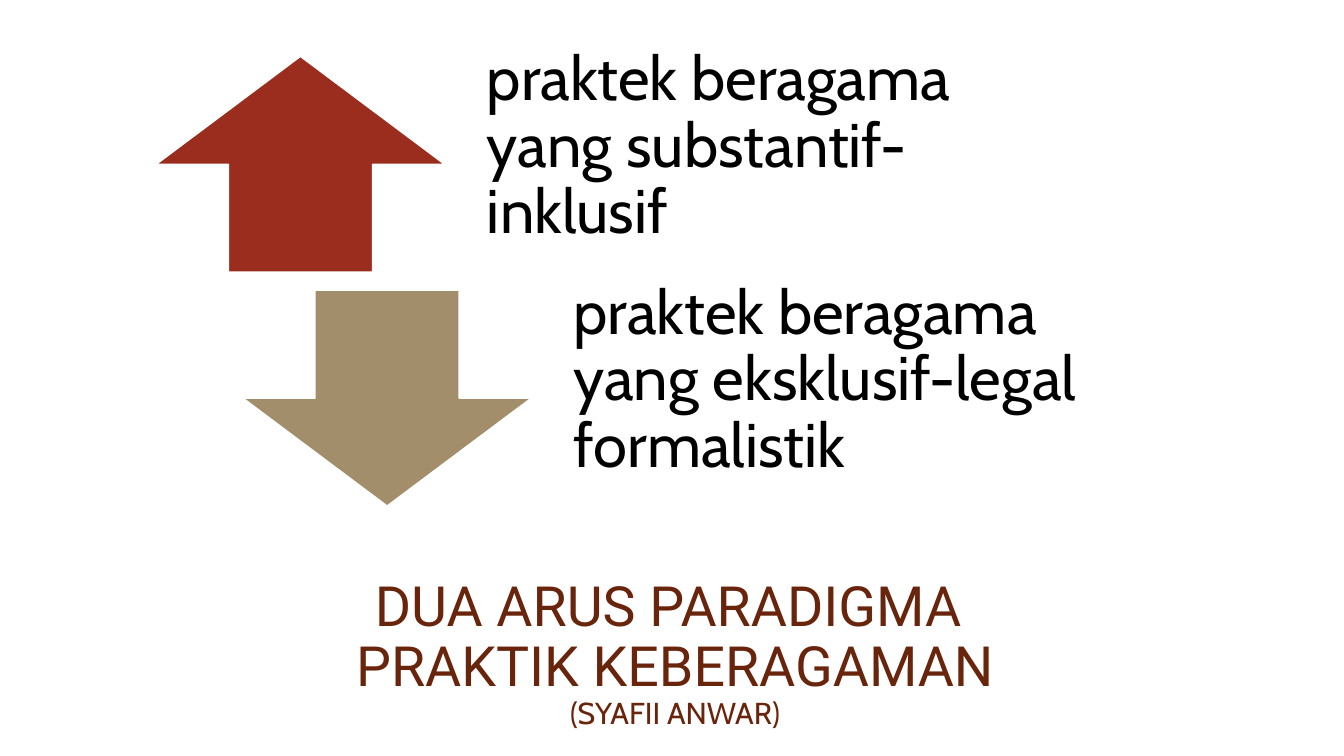
import pptx
import pptx.util
from pptx.dml.color import RGBColor
from pptx.enum.shapes import MSO_SHAPE
from pptx.enum.text import MSO_ANCHOR, PP_ALIGN
from pptx.util import Inches


def color(value):
    return RGBColor.from_string(value)


class SlideBuilder:
    body_font = "Cabin"
    title_font = "Roboto"
    text_color = "000000"
    title_color = "69240C"
    line_color = "FFFFFF"
    line_spacing = 0.9

    def __init__(self, slide):
        self.slide = slide

    def arrow(self, kind, left, top, width, height, fill):
        shape = self.slide.shapes.add_shape(
            kind, Inches(left), Inches(top), Inches(width), Inches(height))
        shape.shadow.inherit = False
        shape.fill.solid()
        shape.fill.fore_color.rgb = color(fill)
        shape.line.color.rgb = color(self.line_color)
        shape.line.width = pptx.util.Pt(1)

    def text(self, left, top, width, height, words, align, insets, styles):
        box = self.slide.shapes.add_textbox(
            Inches(left), Inches(top), Inches(width), Inches(height))
        frame = box.text_frame
        frame.word_wrap = True
        frame.vertical_anchor = MSO_ANCHOR.MIDDLE
        (frame.margin_left, frame.margin_top,
         frame.margin_right, frame.margin_bottom) = map(Inches, insets)
        para = frame.paragraphs[0]
        para.text = words
        para.alignment = align
        para.line_spacing = self.line_spacing
        for span, (size, font, shade) in zip(para.runs, styles):
            span.font.size = pptx.util.Pt(size)
            span.font.name = font
            span.font.color.rgb = color(shade)

    def title(self, left, top, width, height, words):
        heading = (39.6, self.title_font, self.title_color)
        author = (21.6, self.body_font, self.title_color)
        self.text(left, top, width, height, words, PP_ALIGN.CENTER,
                  (0.1, 0.05, 0.1, 0.05), (heading, heading, author))

    def label(self, left, top, width, height, words):
        self.text(left, top, width, height, words, PP_ALIGN.LEFT,
                  (0.34, 0, 0.34, 0.34),
                  [(44, self.body_font, self.text_color)])


def main():
    deck = pptx.Presentation()
    deck.slide_width = Inches(13.33)
    deck.slide_height = Inches(7.5)
    builder = SlideBuilder(deck.slides.add_slide(deck.slide_layouts[6]))

    builder.title(0.77, 5.7, 11.85, 1.59,
                  "DUA ARUS PARADIGMA \vPRAKTIK KEBERAGAMAN\v(SYAFII ANWAR)")

    currents = [
        (MSO_SHAPE.UP_ARROW, "9B2D1F",
         "praktek beragama yang substantif-inklusif"),
        (MSO_SHAPE.DOWN_ARROW, "A28E6A",
         "praktek beragama yang eksklusif-legal formalistik"),
    ]
    for index, (kind, fill, words) in enumerate(currents):
        left = 1.55 + 0.86 * index
        top = 0.56 + 2.32 * index
        builder.arrow(kind, left, top, 2.86, 2.14, fill)
        builder.label(left + 2.94, top, 6.44, 2.14, words)

    deck.save("out.pptx")


if __name__ == "__main__":
    main()
